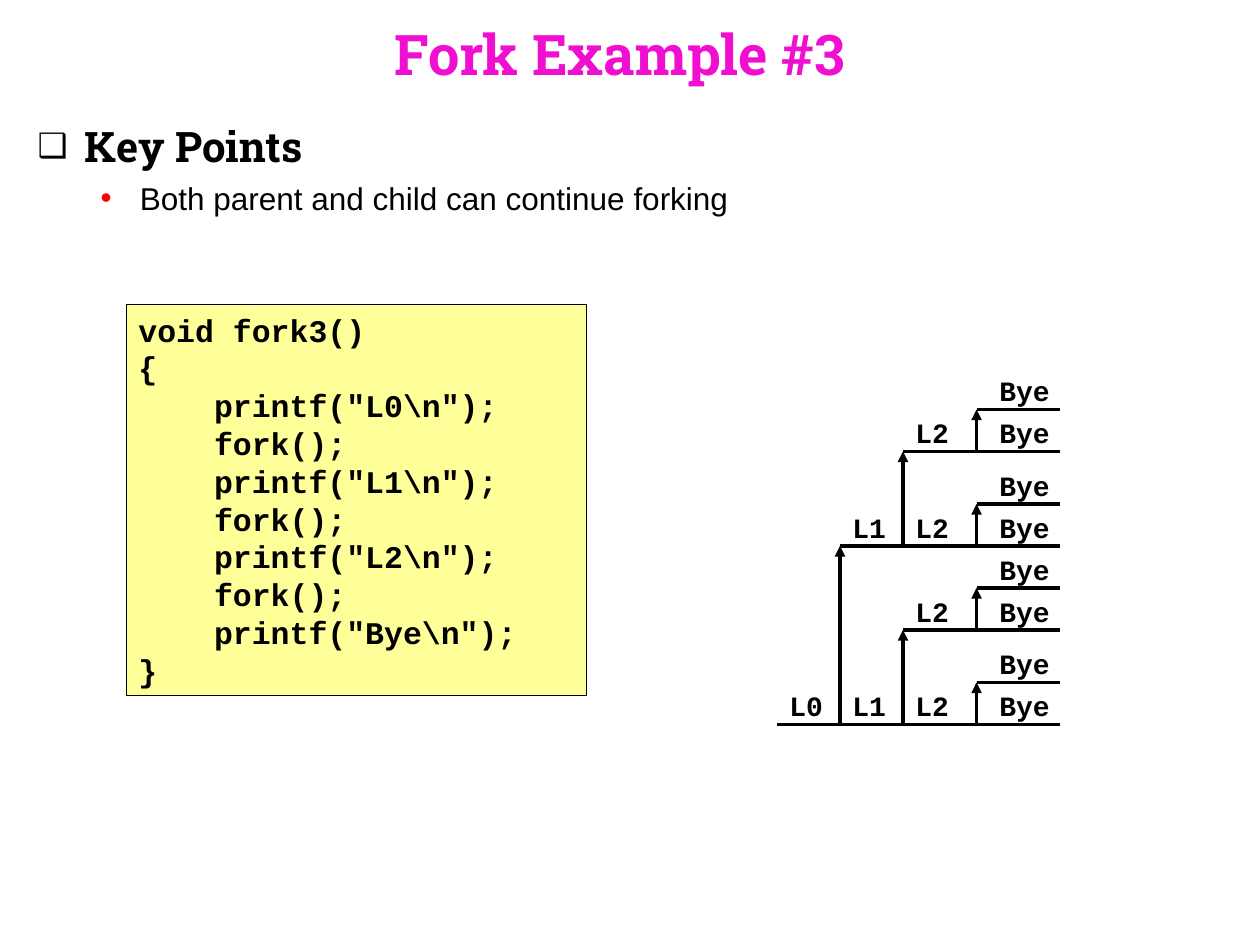
from dataclasses import dataclass
from lxml import etree
from pptx import Presentation
from pptx.dml.color import RGBColor
from pptx.enum.shapes import MSO_CONNECTOR, MSO_SHAPE
from pptx.enum.text import MSO_ANCHOR, MSO_AUTO_SIZE, PP_ALIGN
from pptx.oxml.ns import qn
from pptx.util import Pt

LINE = MSO_CONNECTOR.STRAIGHT
RECT = MSO_SHAPE.RECTANGLE
TOP, MIDDLE = MSO_ANCHOR.TOP, MSO_ANCHOR.MIDDLE
GROW = MSO_AUTO_SIZE.SHAPE_TO_FIT_TEXT
LEFT, CENTER = PP_ALIGN.LEFT, PP_ALIGN.CENTER

BLACK = RGBColor(0, 0, 0)
PINK = RGBColor(0xF0, 0x0E, 0xD0)
YELLOW = RGBColor(0xFF, 0xFF, 0x99)
RED = RGBColor(0xFF, 0, 0)

SLAB = {"name": "Roboto Slab", "bold": True}
MONO = {"name": "Courier New", "bold": True}
HEAD = {**SLAB, "size": Pt(32)}
POINT = {**SLAB, "size": Pt(24)}
DETAIL = {"name": "Arial", "bold": False, "size": Pt(18)}
CODE = {**MONO, "size": Pt(18)}
TAG = {**MONO, "size": Pt(16)}

SOURCE = r"""void fork3()
{
    printf("L0\n");
    fork();
    printf("L1\n");
    fork();
    printf("L2\n");
    fork();
    printf("Bye\n");
}"""


@dataclass
class Stage:
    text: str
    left: float
    label: float
    width: float
    rise: float


@dataclass
class Item:
    text: str
    level: int
    mark: str
    scale: int
    color: RGBColor
    indent: float
    hang: float
    before: float
    style: dict


STAGES = [
    Stage("L0", 444, 444, 33.6, 0),
    Stage("L1", 480, 480, 33.6, 102),
    Stage("L2", 516, 516, 33.6, 54),
    Stage("Bye", 558, 564, 43.2, 24),
]
END = 606
BASE = 414
LIFT = 24

ITEMS = [
    Item("Key Points", 0, "❑", 80, BLACK, 27, 27, 0, POINT),
    Item("Both parent and child can continue forking", 1, "•", 100, RED,
         58.5, 22.5, 4.5, DETAIL),
]


def style(para, form: dict, color: RGBColor = BLACK) -> None:
    for key, value in form.items():
        setattr(para.font, key, value)
    para.font.color.rgb = color


def add_box(shapes, text: str, left: float, top: float, width: float,
            height: float, form: dict, color: RGBColor = BLACK):
    box = shapes.add_textbox(Pt(left), Pt(top), Pt(width), Pt(height))
    box.text_frame.text = text
    style(box.text_frame.paragraphs[0], form, color)
    return box


def add_line(shapes, start: tuple[float, float], stop: tuple[float, float],
             arrow: bool = False) -> None:
    line = shapes.add_connector(LINE, *map(Pt, start + stop))
    line.line.color.rgb = BLACK
    line.line.width = Pt(2)
    if arrow:
        etree.SubElement(line.line._get_or_add_ln(), qn("a:tailEnd"),
                         type="triangle")
    etree.SubElement(line._element.spPr, qn("a:effectLst"))


def add_lane(shapes, first: int, y: float) -> None:
    add_line(shapes, (STAGES[first].left, y), (END, y))
    for i, stage in enumerate(STAGES[first:], first):
        tag = add_box(shapes, stage.text, stage.label, y - LIFT,
                      stage.width, 26.6, TAG)
        tag.text_frame.word_wrap = False
        tag.text_frame.auto_size = GROW
        if i > first:
            peak = y - stage.rise
            add_line(shapes, (stage.left, y), (stage.left, peak), True)
            add_lane(shapes, i, peak)


def add_code(shapes) -> None:
    box = shapes.add_shape(RECT, Pt(72), Pt(174), Pt(262.8), Pt(223.2))
    box.shadow.inherit = False
    box.fill.solid()
    box.fill.fore_color.rgb = YELLOW
    box.line.color.rgb = BLACK
    box.line.width = Pt(0.25)
    frame = box.text_frame
    frame.word_wrap = True
    frame.vertical_anchor = TOP
    frame.text = SOURCE
    for para in frame.paragraphs:
        para.alignment = LEFT
        para.line_spacing = Pt(21.6)
        style(para, CODE)


def add_item(para, item: Item) -> None:
    para.text = item.text
    para.level = item.level
    para.space_before = Pt(item.before)
    props = para._p.get_or_add_pPr()
    props.set("marL", str(Pt(item.indent)))
    props.set("indent", str(-Pt(item.hang)))
    tint = etree.SubElement(props, qn("a:buClr"))
    etree.SubElement(tint, qn("a:srgbClr"), val=str(item.color))
    etree.SubElement(props, qn("a:buSzPct"), val=str(item.scale * 1000))
    etree.SubElement(props, qn("a:buFont"), typeface="Arial")
    etree.SubElement(props, qn("a:buChar"), char=item.mark)
    style(para, item.style)


def add_points(shapes) -> None:
    box = shapes.add_textbox(Pt(14.4), Pt(65.5), Pt(692), Pt(436.3))
    frame = box.text_frame
    frame.word_wrap = True
    for i, item in enumerate(ITEMS):
        para = frame.add_paragraph() if i else frame.paragraphs[0]
        add_item(para, item)


def main() -> None:
    deck = Presentation()
    deck.slide_width, deck.slide_height = Pt(720), Pt(540)
    shapes = deck.slides.add_slide(deck.slide_layouts[6]).shapes
    title = add_box(shapes, "Fork Example #3", 36.7, 0, 635, 60.5, HEAD, PINK)
    title.text_frame.word_wrap = True
    title.text_frame.vertical_anchor = MIDDLE
    title.text_frame.paragraphs[0].alignment = CENTER
    add_code(shapes)
    add_points(shapes)
    add_lane(shapes.add_group_shape().shapes, 0, BASE)
    deck.save("out.pptx")


if __name__ == "__main__":
    main()
